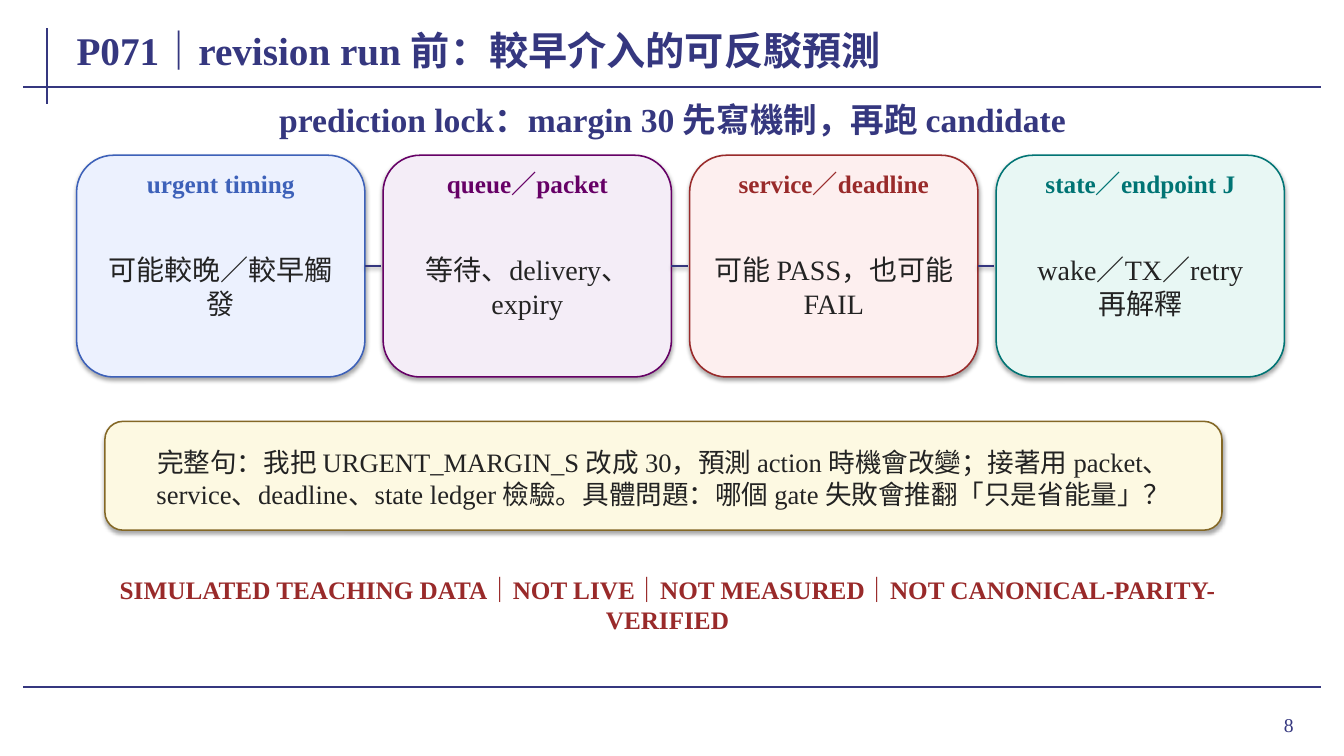
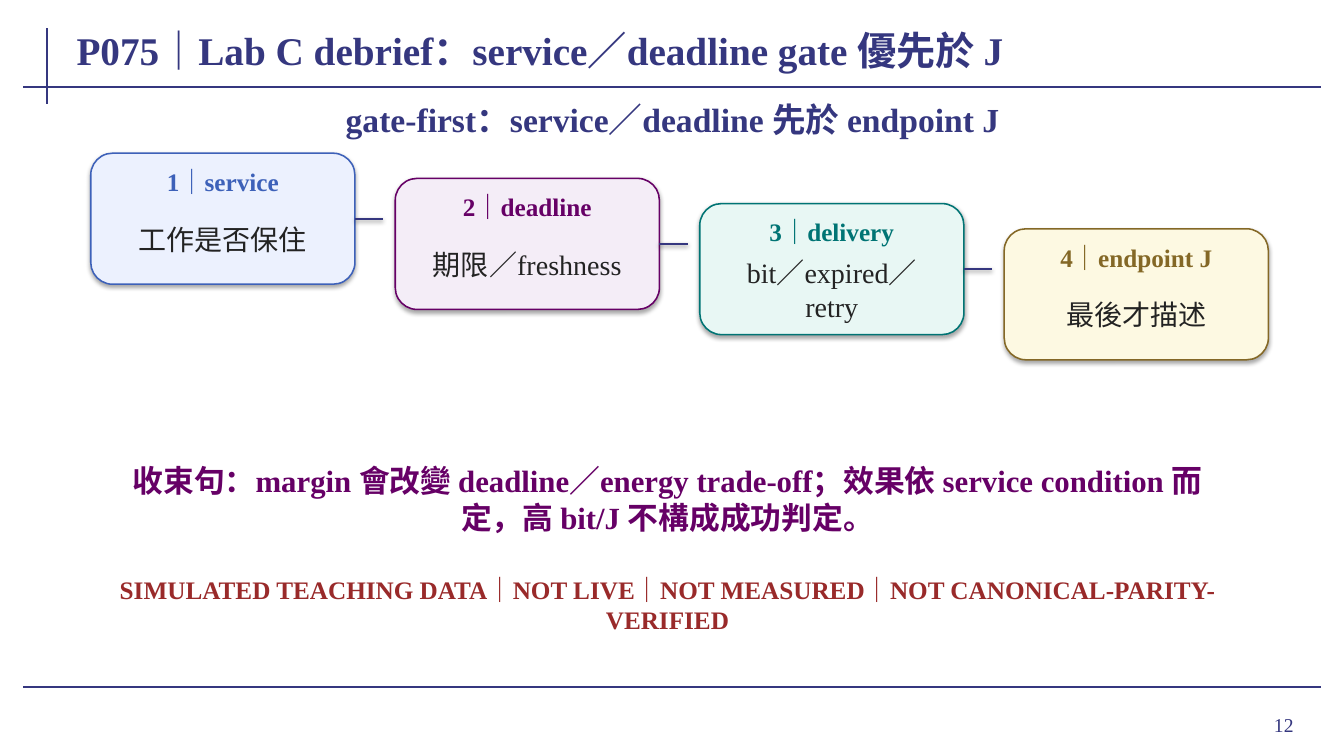
from collections import namedtuple

from lxml import etree
from pptx import Presentation
from pptx import util as u
from pptx.dml import color
from pptx.enum import shapes, text
from pptx.oxml import ns

Box = namedtuple("Box", "left top width height")
Tone = namedtuple("Tone", "fill line")
Shadow = namedtuple("Shadow", "blur distance opacity")

FONT = "Times New Roman"
NAVY, INK, RED, PURPLE = "35377F", "232323", "992A2A", "660066"
BLUE_TONE = Tone("ECF1FE", "3D61B9")
PURPLE_TONE = Tone("F4EDF7", PURPLE)
RED_TONE = Tone("FDEFEF", RED)
TEAL_TONE = Tone("E8F7F4", "007474")
GOLD_TONE = Tone("FDF9E2", "846826")
CARD_SHADOW = Shadow(3.1, 1.8, 35)
LINK_SHADOW = Shadow(3.1, 1.6, 38)
DISCLAIMER = "SIMULATED TEACHING DATA｜NOT LIVE｜NOT MEASURED｜NOT CANONICAL-PARITY-VERIFIED"


def rgb(value):
    return color.RGBColor.from_string(value)


def inches(values):
    return [u.Inches(value) for value in values]


def set_shadow(shape, shadow=None):
    effects = etree.SubElement(shape._element.spPr, ns.qn("a:effectLst"))
    if shadow:
        outer = etree.SubElement(
            effects, ns.qn("a:outerShdw"),
            blurRad=str(u.Pt(shadow.blur)), dist=str(u.Pt(shadow.distance)),
            dir="5400000", algn="ctr", rotWithShape="0")
        black = etree.SubElement(outer, ns.qn("a:srgbClr"), val="000000")
        etree.SubElement(black, ns.qn("a:alpha"), val=str(shadow.opacity * 1000))


def write(frame, words, size, tint, bold=False, align=text.PP_ALIGN.CENTER):
    frame.word_wrap = True
    frame.vertical_anchor = text.MSO_ANCHOR.MIDDLE
    frame.margin_left = frame.margin_right = u.Inches(0.08)
    frame.margin_top = frame.margin_bottom = u.Inches(0.04)
    para = frame.paragraphs[0]
    para.text = words
    para.alignment = align
    para.font.name = FONT
    para.font.size = u.Pt(size)
    para.font.bold = bold
    para.font.color.rgb = rgb(tint)


def add_text(page, box, words, size, tint, **style):
    frame = page.shapes.add_textbox(*inches(box)).text_frame
    write(frame, words, size, tint, **style)
    frame.auto_size = text.MSO_AUTO_SIZE.SHAPE_TO_FIT_TEXT


def add_line(page, ends, width, shadow=None):
    line = page.shapes.add_connector(shapes.MSO_CONNECTOR.STRAIGHT, *inches(ends))
    line.line.color.rgb = rgb(NAVY)
    line.line.width = u.Pt(width)
    set_shadow(line, shadow)


def add_panel(page, box, tone):
    panel = page.shapes.add_shape(shapes.MSO_SHAPE.ROUNDED_RECTANGLE, *inches(box))
    panel.fill.solid()
    panel.fill.fore_color.rgb = rgb(tone.fill)
    panel.line.color.rgb = rgb(tone.line)
    panel.line.width = u.Pt(1.1)
    set_shadow(panel, CARD_SHADOW)


def add_card(page, box, tone, heading, body):
    left, top, width, height = box
    add_panel(page, box, tone)
    add_text(page, Box(left + 0.14, top + 0.12, width - 0.28, 0.32),
             heading, 18, tone.line, bold=True)
    add_text(page, Box(left + 0.16, top + 0.52, width - 0.32, height - 0.64),
             body, 20, INK)


def add_card_row(page, first, cards, step, drop, link_length, link_width):
    for index, (tone, heading, body) in enumerate(cards):
        box = first._replace(left=first.left + index * step,
                             top=first.top + index * drop)
        add_card(page, box, tone, heading, body)
        if index < len(cards) - 1:
            start = box.left + box.width
            middle = box.top + box.height / 2
            add_line(page, (start, middle, start + link_length, middle),
                     link_width, LINK_SHADOW)


def add_sentence_panel(page, box, words):
    add_panel(page, box, GOLD_TONE)
    add_text(page, Box(box.left + 0.26, box.top + 0.22, box.width - 0.52, 0.68),
             words, 19, INK)


def add_page(deck, number, title, subtitle):
    page = deck.slides.add_slide(deck.slide_layouts[5])
    for ends in ((0.47, 0.28, 0.47, 1.03),
                 (0.23, 0.86, 13.1, 0.86),
                 (0.23, 6.82, 13.1, 6.82)):
        add_line(page, ends, 1.5)
    heading = page.shapes.title
    heading.left, heading.top, heading.width, heading.height = inches(
        (0.68, 0.18, 11.95, 0.62))
    write(heading.text_frame, title, 28, NAVY, bold=True, align=text.PP_ALIGN.LEFT)
    heading.text_frame.auto_size = text.MSO_AUTO_SIZE.NONE
    add_text(page, Box(0.86, 0.94, 11.62, 0.48), subtitle, 24, NAVY, bold=True)
    add_text(page, Box(0.72, 5.86, 11.8, 0.27), DISCLAIMER, 18, RED, bold=True)
    add_text(page, Box(11.96, 6.93, 0.95, 0.52), str(number), 14, NAVY,
             align=text.PP_ALIGN.RIGHT)
    return page


def build_prediction(deck):
    page = add_page(deck, 8, "P071｜revision run 前：較早介入的可反駁預測",
                    "prediction lock：margin 30 先寫機制，再跑 candidate")
    cards = [
        (BLUE_TONE, "urgent timing", "可能較晚／較早觸發"),
        (PURPLE_TONE, "queue／packet", "等待、delivery、expiry"),
        (RED_TONE, "service／deadline", "可能 PASS，也可能 FAIL"),
        (TEAL_TONE, "state／endpoint J", "wake／TX／retry 再解釋"),
    ]
    add_card_row(page, Box(0.76, 1.54, 2.86, 2.2), cards, step=3.04, drop=0,
                 link_length=0.16, link_width=1.4)
    add_sentence_panel(
        page, Box(1.04, 4.18, 11.08, 1.08),
        "完整句：我把 URGENT_MARGIN_S 改成 30，預測 action 時機會改變；接著用 "
        "packet、service、deadline、state ledger 檢驗。具體問題：哪個 gate "
        "失敗會推翻「只是省能量」？")


def build_debrief(deck):
    page = add_page(deck, 12, "P075｜Lab C debrief：service／deadline gate 優先於 J",
                    "gate-first：service／deadline 先於 endpoint J")
    cards = [
        (BLUE_TONE, "1｜service", "工作是否保住"),
        (PURPLE_TONE, "2｜deadline", "期限／freshness"),
        (TEAL_TONE, "3｜delivery", "bit／expired／retry"),
        (GOLD_TONE, "4｜endpoint J", "最後才描述"),
    ]
    add_card_row(page, Box(0.9, 1.52, 2.62, 1.3), cards, step=3.02, drop=0.25,
                 link_length=0.28, link_width=1.6)
    add_text(page, Box(1.1, 4.6, 11.04, 0.7),
             "收束句：margin 會改變 deadline／energy trade-off；效果依 service "
             "condition 而定，高 bit/J 不構成成功判定。", 22, PURPLE, bold=True)


def main():
    deck = Presentation()
    deck.slide_width, deck.slide_height = inches((13.33, 7.5))
    build_prediction(deck)
    build_debrief(deck)
    deck.save("out.pptx")


if __name__ == "__main__":
    main()
